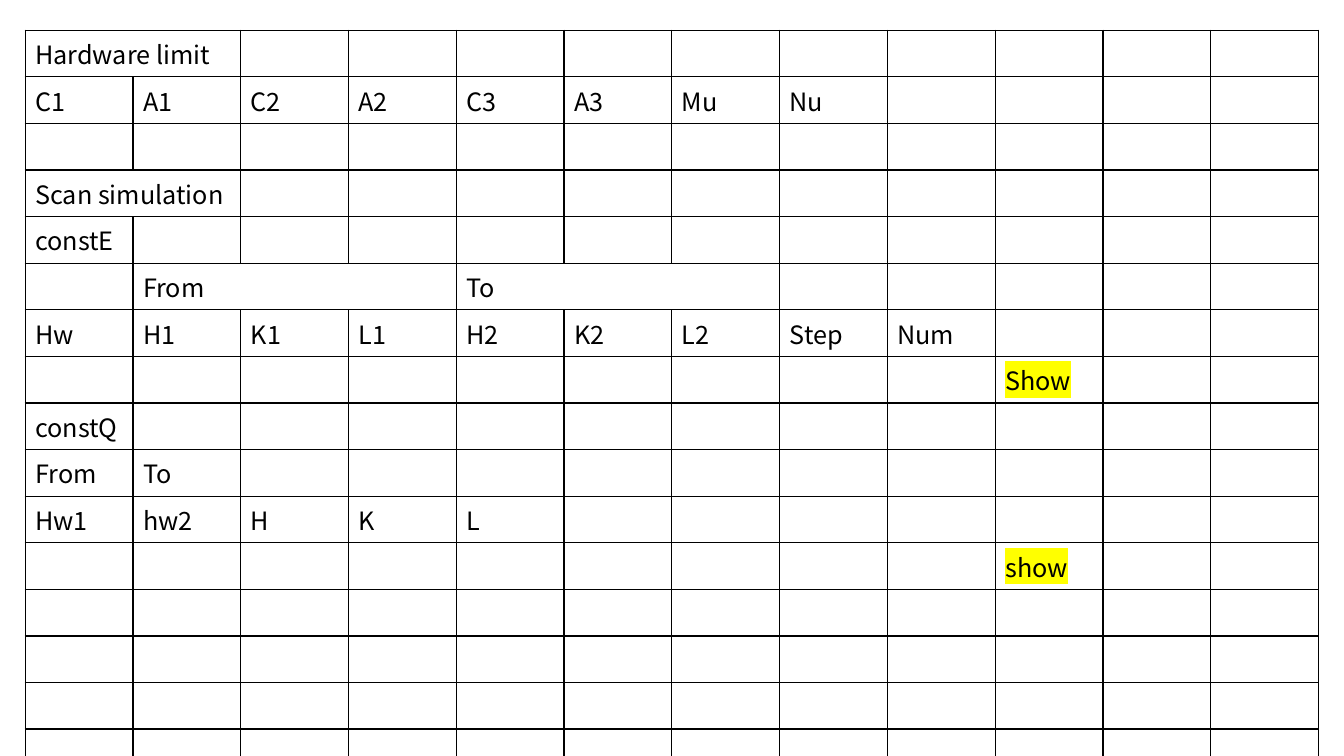
from lxml.etree import SubElement
from pptx import Presentation
from pptx.dml.color import RGBColor
from pptx.oxml import parse_xml
from pptx.oxml.ns import nsdecls, qn
from pptx.util import Inches, Pt

COLORS = {"ink": "000000", "mark": "FFFF00"}
COLS, ROWS = 12, 17
LABELS = {
    0: {0: "Hardware limit"},
    1: dict(enumerate(["C1", "A1", "C2", "A2", "C3", "A3", "Mu", "Nu"])),
    3: {0: "Scan simulation"},
    4: {0: "constE"},
    5: {1: "From", 4: "To"},
    6: dict(enumerate(["Hw", "H1", "K1", "L1", "H2", "K2", "L2", "Step", "Num"])),
    7: {9: "Show"},
    8: {0: "constQ"},
    9: {0: "From", 1: "To"},
    10: dict(enumerate(["Hw1", "hw2", "H", "K", "L"])),
    11: {9: "show"},
}
SPANS = {(0, 0): 2, (3, 0): 2, (5, 1): 3, (5, 4): 3}
MARKED = {(7, 9), (11, 9)}


class Sheet:
    font = "Noto Sans CJK JP"
    size = 18
    line = 1

    def __init__(self, deck):
        self.slide = deck.slides.add_slide(deck.slide_layouts[6])

    def grid(self, left, top, width, height):
        frame = self.slide.shapes.add_table(
            ROWS, COLS, Inches(left), Inches(top), Inches(width), Inches(height))
        table = frame.table
        table.first_row = table.horz_banding = False
        for col in table.columns:
            col.width = Inches(width / COLS)
        for row in table.rows:
            row.height = Inches(height / ROWS)
        for (row, col), span in SPANS.items():
            table.cell(row, col).merge(table.cell(row, col + span - 1))
        for row in range(ROWS):
            for col in range(COLS):
                cell = table.cell(row, col)
                self.border(cell)
                self.label(cell, LABELS.get(row, {}).get(col, ""), (row, col) in MARKED)

    def border(self, cell):
        props = cell._tc.get_or_add_tcPr()
        for side in ("lnL", "lnR", "lnT", "lnB"):
            props.append(parse_xml(
                f'<a:{side} {nsdecls("a")} w="{Pt(self.line)}"><a:solidFill>'
                f'<a:srgbClr val="{COLORS["ink"]}"/></a:solidFill></a:{side}>'))
        cell.fill.background()

    def label(self, cell, text, marked):
        para = cell.text_frame.paragraphs[0]
        if not text:
            end = SubElement(para._p, qn("a:endParaRPr"), sz=str(self.size * 100))
            for kind in ("a:latin", "a:ea"):
                SubElement(end, qn(kind), typeface=self.font)
            return
        para.text = text
        run = para.runs[0]
        run.font.size = Pt(self.size)
        run.font.name = self.font
        run.font.color.rgb = RGBColor.from_string(COLORS["ink"])
        props = run._r.get_or_add_rPr()
        SubElement(props, qn("a:ea"), typeface=self.font)
        if marked:
            props.find(qn("a:solidFill")).addnext(parse_xml(
                f'<a:highlight {nsdecls("a")}>'
                f'<a:srgbClr val="{COLORS["mark"]}"/></a:highlight>'))


def main():
    deck = Presentation()
    deck.slide_width = Inches(13.33)
    deck.slide_height = Inches(7.5)
    Sheet(deck).grid(0.25, 0.3, 12.83, 6.89)
    deck.save("out.pptx")


if __name__ == "__main__":
    main()
